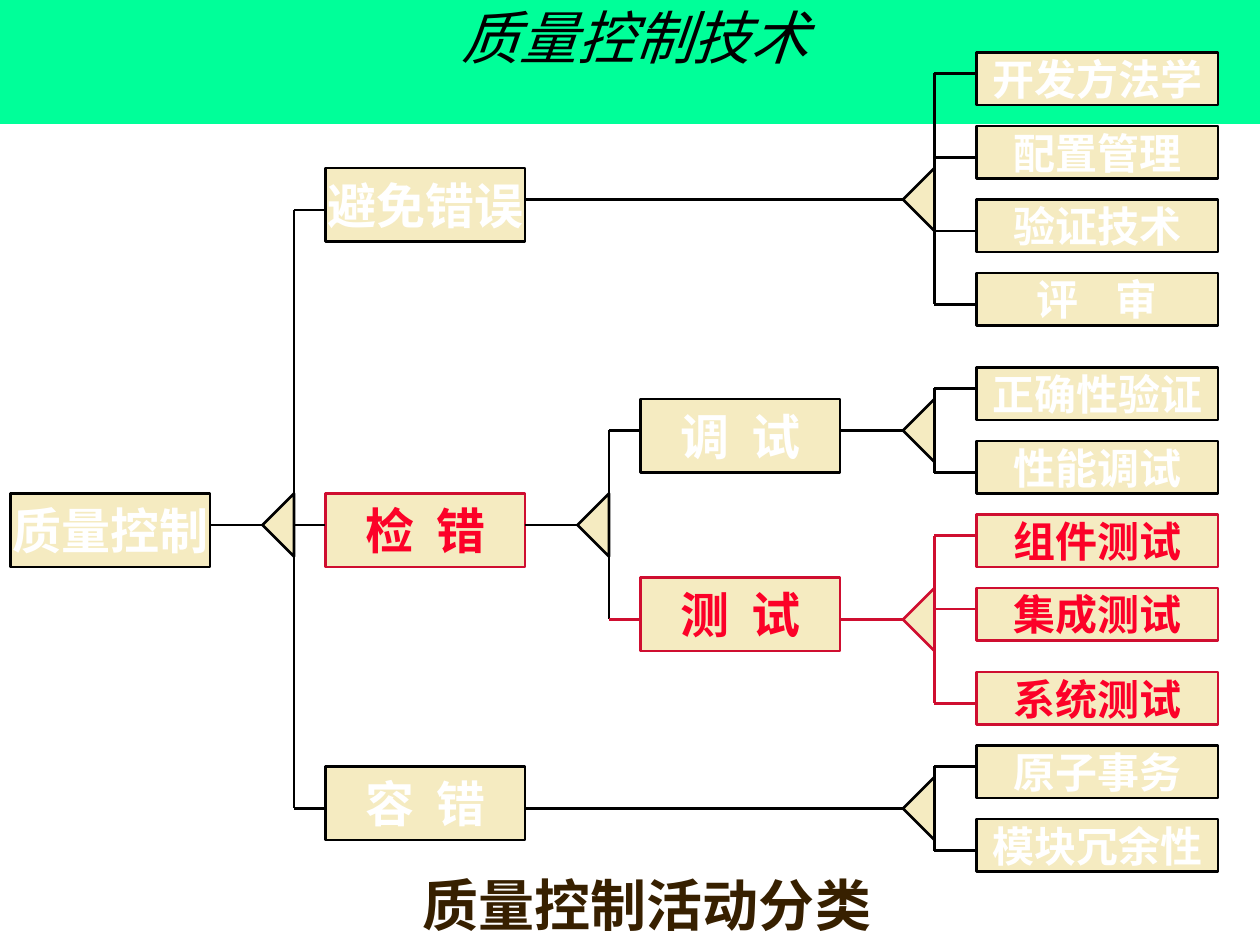
from dataclasses import dataclass

from lxml import etree
from pptx import Presentation
from pptx import util as u
from pptx.dml.color import RGBColor
from pptx.enum import shapes, text
from pptx.oxml.ns import qn

PX = 7620
FONT = "Noto Sans CJK SC"
BLACK, WHITE, CREAM = "000000", "FFFFFF", "F5EBC1"
RED_LINE, RED_TEXT = "CF0E30", "FC0128"
LEAF_SIZE, STEP_SIZE = (230, 50, 24), (190, 70, 28)
LEAF_LEFT = 930


@dataclass
class Node:
    label: str
    left: int
    top: int
    size: tuple[int, int, int] = STEP_SIZE
    tested: bool = False
    spread: float = 0


@dataclass
class Fork:
    start: int
    tip: int
    axis: int
    end: int
    branches: list[int]
    color: str = BLACK
    last_color: str = BLACK


def px(value: int) -> int:
    return u.Emu(value * PX)


def rgb(color: str) -> RGBColor:
    return RGBColor.from_string(color)


def add_span(para, words: str, size: int, color: str, bold=False, italic=False, spread: float = 0) -> None:
    span = para.add_run()
    span.text = words
    font = span.font
    font.name, font.size, font.bold, font.italic = FONT, u.Pt(size), bold, italic
    font.color.rgb = rgb(color)
    props = span._r.get_or_add_rPr()
    etree.SubElement(props, qn("a:ea")).set("typeface", FONT)
    if spread:
        props.set("spc", str(round(spread * 100)))


def add_block(page, kind, left: int, top: int, width: int, height: int, fill: str, line: str | None):
    box = page.shapes.add_shape(kind, px(left), px(top), px(width), px(height))
    box.shadow.inherit = False
    box.fill.solid()
    box.fill.fore_color.rgb = rgb(fill)
    if line:
        box.line.color.rgb = rgb(line)
        box.line.width = u.Pt(1.5)
    else:
        box.line.fill.background()
    return box


def add_node(page, node: Node) -> None:
    width, height, size = node.size
    line, ink = (RED_LINE, RED_TEXT) if node.tested else (BLACK, WHITE)
    box = add_block(page, shapes.MSO_SHAPE.RECTANGLE, node.left, node.top, width, height, CREAM, line)
    frame = box.text_frame
    frame.word_wrap = False
    frame.vertical_anchor = text.MSO_ANCHOR.MIDDLE
    para = frame.paragraphs[0]
    para.alignment = text.PP_ALIGN.CENTER
    first, gap, rest = node.label.partition(" ")
    add_span(para, first + gap, size, ink, bold=True, spread=node.spread)
    if rest:
        add_span(para, rest, size, ink, bold=True)


def add_line(page, x1: int, y1: int, x2: int, y2: int, color: str) -> None:
    line = page.shapes.add_connector(shapes.MSO_CONNECTOR.STRAIGHT, px(x1), px(y1), px(x2), px(y2))
    line.line.color.rgb = rgb(color)
    line.line.width = u.Pt(1.5)
    etree.SubElement(line._element.spPr, qn("a:effectLst"))


def add_fork(page, fork: Fork) -> None:
    bar = fork.tip + 30
    add_line(page, bar, fork.branches[0], bar, fork.branches[-1], fork.color)
    for y in fork.branches[:-1]:
        add_line(page, bar, y, fork.end, y, fork.color)
    last = fork.branches[-1]
    add_line(page, bar, last, fork.end, last, fork.last_color)
    triangle = add_block(page, shapes.MSO_SHAPE.ISOSCELES_TRIANGLE,
                         fork.tip - 15, fork.axis - 15, 60, 30, CREAM, fork.color)
    triangle.rotation = 270
    add_line(page, fork.start, fork.axis, fork.tip, fork.axis, fork.color)


def add_text(page, left: int, top: int, width: int, height: int):
    box = page.shapes.add_textbox(px(left), px(top), px(width), px(height))
    return box.text_frame


LEAVES = [
    Node("开发方法学", LEAF_LEFT, 50, LEAF_SIZE),
    Node("配置管理", LEAF_LEFT, 120, LEAF_SIZE),
    Node("验证技术", LEAF_LEFT, 190, LEAF_SIZE),
    Node("评 审", LEAF_LEFT, 260, LEAF_SIZE, spread=8),
    Node("正确性验证", LEAF_LEFT, 350, LEAF_SIZE),
    Node("性能调试", LEAF_LEFT, 420, LEAF_SIZE),
    Node("组件测试", LEAF_LEFT, 490, LEAF_SIZE, tested=True),
    Node("集成测试", LEAF_LEFT, 560, LEAF_SIZE, tested=True),
    Node("系统测试", LEAF_LEFT, 640, LEAF_SIZE, tested=True),
    Node("原子事务", LEAF_LEFT, 710, LEAF_SIZE),
    Node("模块冗余性", LEAF_LEFT, 780, LEAF_SIZE),
]
STEPS = [
    Node("质量控制", 10, 470),
    Node("避免错误", 310, 160),
    Node("检 错", 310, 470, tested=True, spread=3.1),
    Node("容 错", 310, 730, spread=3.1),
    Node("调 试", 610, 380, spread=3.1),
    Node("测 试", 610, 550, tested=True, spread=3.1),
]
FORKS = [
    Fork(200, 250, 500, 310, [200, 500, 770]),
    Fork(500, 550, 500, 610, [410, 590], last_color=RED_LINE),
    Fork(500, 860, 770, LEAF_LEFT, [730, 810]),
    Fork(800, 860, 590, LEAF_LEFT, [510, 580, 670], RED_LINE, RED_LINE),
    Fork(800, 860, 410, LEAF_LEFT, [370, 450]),
    Fork(500, 860, 190, LEAF_LEFT, [70, 150, 220, 290]),
]


def main() -> None:
    deck = Presentation()
    deck.slide_width, deck.slide_height = px(1200), px(900)
    page = deck.slides.add_slide(deck.slide_layouts[6])
    add_block(page, shapes.MSO_SHAPE.RECTANGLE, 0, 0, 1200, 118, "00FF99", None)

    title = add_text(page, 10, 0, 1190, 70)
    title.word_wrap = True
    title.vertical_anchor = text.MSO_ANCHOR.MIDDLE
    title.paragraphs[0].alignment = text.PP_ALIGN.CENTER
    add_span(title.paragraphs[0], "质量控制技术", 33, BLACK, italic=True)

    caption = add_text(page, 391, 817, 451, 83)
    caption.word_wrap = False
    caption.auto_size = text.MSO_AUTO_SIZE.SHAPE_TO_FIT_TEXT
    caption.paragraphs[0].line_spacing = 1.1
    add_span(caption.paragraphs[0], "质量控制活动分类", 32, "372000", bold=True)

    for node in LEAVES + STEPS:
        add_node(page, node)
    for fork in FORKS:
        add_fork(page, fork)
    deck.save("out.pptx")


if __name__ == "__main__":
    main()
